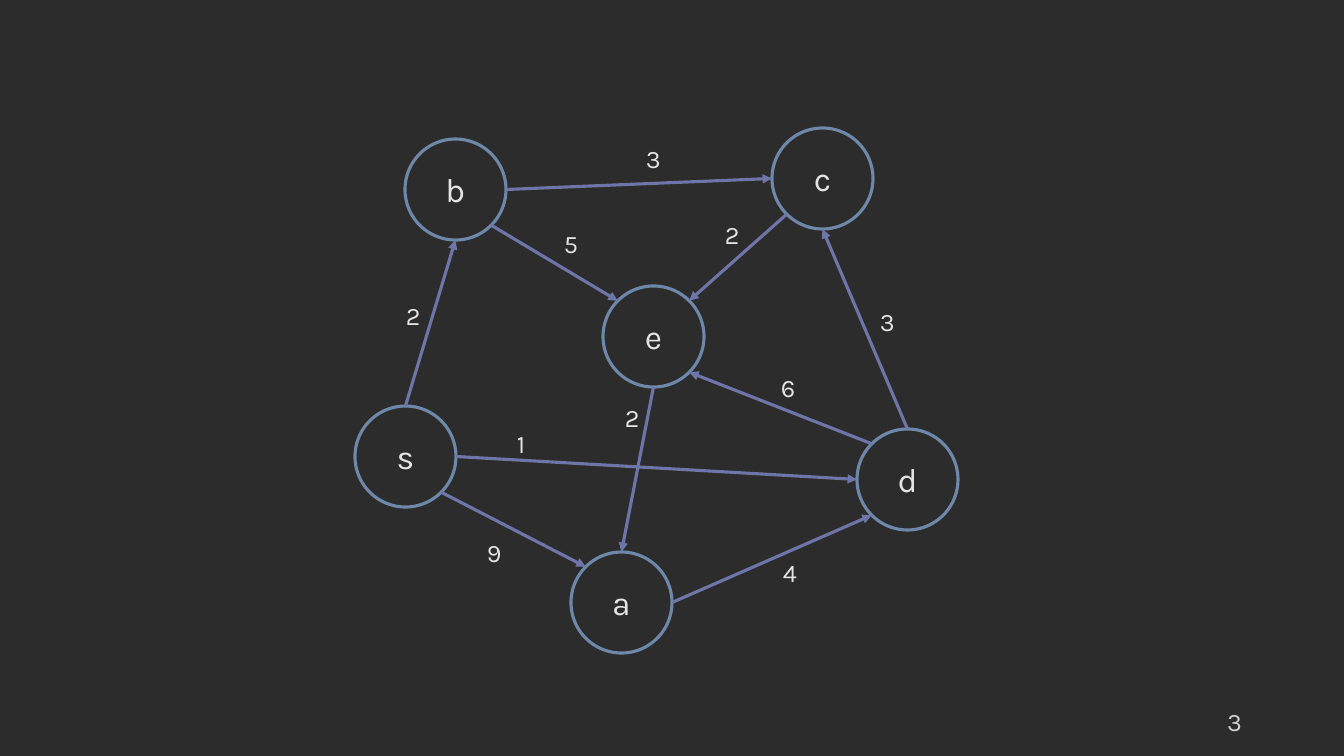
from math import cos, radians, sin

from lxml import etree
from pptx import Presentation
from pptx.dml.color import RGBColor
from pptx.enum.shapes import MSO_CONNECTOR, MSO_SHAPE
from pptx.enum.text import MSO_ANCHOR, MSO_AUTO_SIZE, PP_ALIGN
from pptx.oxml.ns import qn
from pptx.util import Pt

OVAL = MSO_SHAPE.OVAL
STRAIGHT = MSO_CONNECTOR.STRAIGHT
MIDDLE = MSO_ANCHOR.MIDDLE
CENTER, LEFT, RIGHT = PP_ALIGN.CENTER, PP_ALIGN.LEFT, PP_ALIGN.RIGHT
FIT_SHAPE = MSO_AUTO_SIZE.SHAPE_TO_FIT_TEXT

THEME = {
    "font": "Karla",
    "background": RGBColor.from_string("2C2C2C"),
    "node": RGBColor.from_string("6D88A8"),
    "edge": RGBColor.from_string("6E75A8"),
    "text": RGBColor.from_string("E4E4E4"),
    "page": RGBColor.from_string("D1D1D1"),
    "node_size": Pt(24),
    "label_size": Pt(18),
    "stroke": Pt(2.25),
}
DIAMETER = 101
ANGLES = {"right": 0, "bottom right": 45, "bottom": 90, "bottom left": 135,
          "left": 180, "top left": 225, "top": 270, "top right": 315}


def px(*lengths):
    return [round(length * 914400 / 100.8) for length in lengths]


def write(frame, text, size, color, align):
    paragraph = frame.paragraphs[0]
    paragraph.text = text
    paragraph.alignment = align
    paragraph.font.name = THEME["font"]
    paragraph.font.size = size
    paragraph.font.color.rgb = color


deck = Presentation()
deck.slide_width, deck.slide_height = px(1344, 756)
slide = deck.slides.add_slide(deck.slide_layouts[6])
slide.background.fill.solid()
slide.background.fill.fore_color.rgb = THEME["background"]

page_number = slide.shapes.add_textbox(*px(950, 701, 302, 40)).text_frame
page_number.word_wrap = True
page_number.vertical_anchor = MIDDLE
write(page_number, "3", THEME["label_size"], THEME["page"], RIGHT)

nodes = {"s": (355, 406), "a": (571, 552), "b": (405, 139),
         "c": (772, 128), "d": (857, 429), "e": (603, 286)}
for letter, corner in nodes.items():
    node = slide.shapes.add_shape(OVAL, *px(*corner, DIAMETER, DIAMETER))
    node.shadow.inherit = False
    node.fill.background()
    node.line.color.rgb = THEME["node"]
    node.line.width = THEME["stroke"]
    node.text_frame.vertical_anchor = MIDDLE
    write(node.text_frame, letter, THEME["node_size"], THEME["text"], CENTER)

edges = [
    ("s", "right", "d", "left", "1", (507, 423)),
    ("d", "top", "c", "bottom", "3", (870, 301)),
    ("c", "bottom left", "e", "top right", "2", (715, 214)),
    ("a", "right", "d", "bottom left", "4", (773, 552)),
    ("s", "top", "b", "bottom", "2", (396, 295)),
    ("b", "bottom right", "e", "top left", "5", (554, 223)),
    ("b", "right", "c", "left", "3", (636, 138)),
    ("d", "top left", "e", "bottom right", "6", (771, 367)),
    ("s", "bottom right", "a", "top left", "9", (477, 532)),
    ("e", "bottom", "a", "top", "2", (615, 397)),
]
for source, source_side, target, target_side, weight, label_corner in edges:
    ends = []
    for letter, side in ((source, source_side), (target, target_side)):
        left, top = nodes[letter]
        angle = radians(ANGLES[side])
        ends += [left + DIAMETER / 2 * (1 + cos(angle)),
                 top + DIAMETER / 2 * (1 + sin(angle))]
    edge = slide.shapes.add_connector(STRAIGHT, *px(*ends))
    edge.line.color.rgb = THEME["edge"]
    edge.line.width = THEME["stroke"]
    etree.SubElement(edge.line._get_or_add_ln(), qn("a:tailEnd"), type="triangle")
    etree.SubElement(edge._element.spPr, qn("a:effectLst"))

    label = slide.shapes.add_textbox(*px(*label_corner, 34, 40)).text_frame
    label.word_wrap = False
    label.auto_size = FIT_SHAPE
    write(label, weight, THEME["label_size"], THEME["text"], LEFT)

deck.save("out.pptx")
